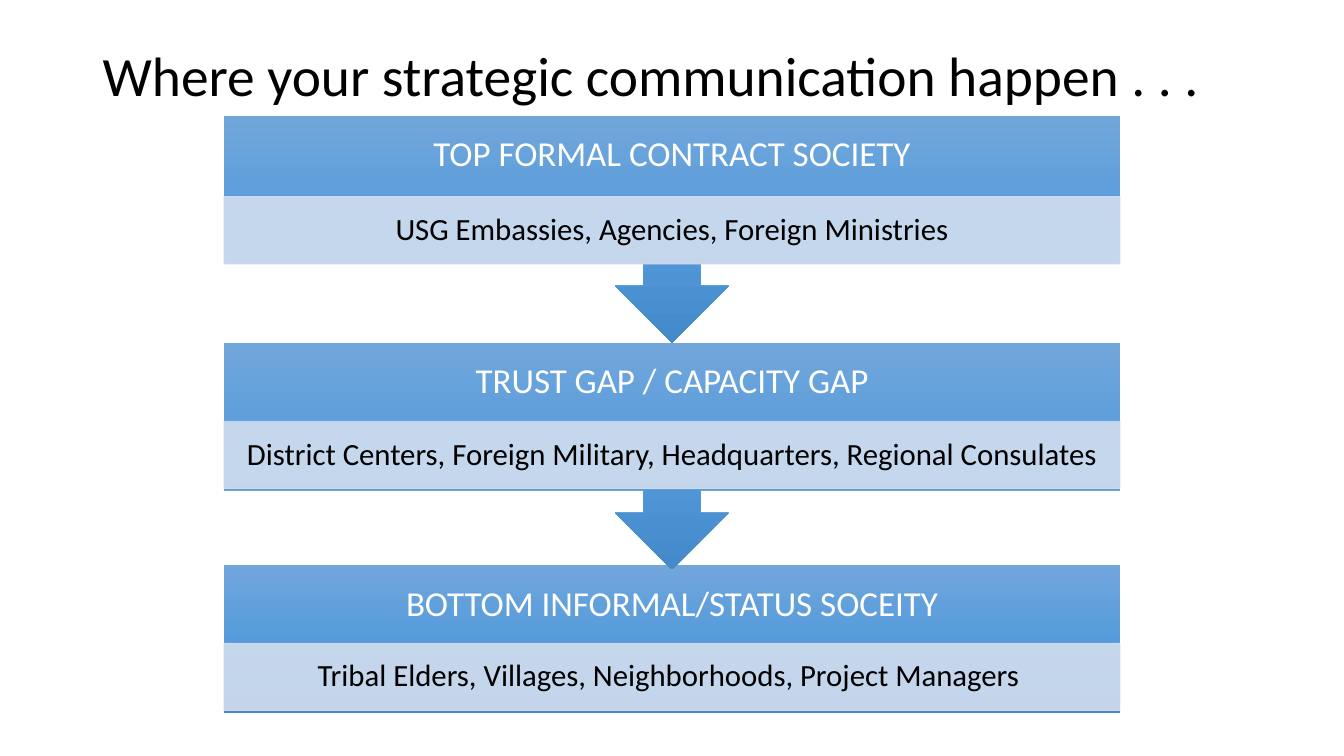
from copy import deepcopy
from pptx import Presentation
from pptx.dml.color import RGBColor
from pptx.enum.shapes import MSO_SHAPE
from pptx.enum.text import MSO_ANCHOR, PP_ALIGN
from pptx.oxml.ns import qn
from pptx.util import Inches, Pt

RECT = MSO_SHAPE.RECTANGLE
CALL = MSO_SHAPE.DOWN_ARROW_CALLOUT
MID = MSO_ANCHOR.MIDDLE
LEFT, MIDST = PP_ALIGN.LEFT, PP_ALIGN.CENTER

deck = Presentation()
deck.slide_width, deck.slide_height = Inches(13.333), Inches(7.5)
colw, roww = deck.slide_width / 100, deck.slide_height / 100
slide = deck.slides.add_slide(deck.slide_layouts[6])
shapes = slide.shapes


def hue(code):
    return RGBColor.from_string(code)


def label(area, words, size, code, align, side, edge, after):
    box = shapes.add_textbox(*area)
    frame = box.text_frame
    form = {
        "word_wrap": True, "vertical_anchor": MID,
        "margin_left": Inches(side), "margin_right": Inches(side),
        "margin_top": Inches(edge), "margin_bottom": Inches(edge),
    }
    for key, value in form.items():
        setattr(frame, key, value)
    para = frame.paragraphs[0]
    for key, value in {"alignment": align, "line_spacing": 0.9,
                       "space_after": Pt(after)}.items():
        setattr(para, key, value)
    run = para.add_run()
    run.text = words
    for key, value in {"size": Pt(size), "name": "Calibri"}.items():
        setattr(run.font, key, value)
    run.font.color.rgb = hue(code)


title = [int(n) for n in (6.9 * colw, 5.33 * roww, 86.25 * colw, 10 * roww)]
label(title, "Where your strategic communication happen . . . ",
      39.6, "000000", LEFT, 0.1, 0.05, 0)

left, wide = int(deck.slide_width / 6), int(deck.slide_width * 2 / 3)
head, band = int(10.53 * roww), int(8.93 * roww)
shades = [(0, "71A6DB"), (0.5, "559BDB"), (1, "448ACA")]
steps = [
    (RECT, 74.8, 19.5, 85.07, "BOTTOM INFORMAL/STATUS SOCEITY",
     "Tribal Elders, Villages, Neighborhoods, Project Managers "),
    (CALL, 45.33, 30, 55.73, "TRUST GAP / CAPACITY GAP",
     "District Centers, Foreign Military, Headquarters, Regional Consulates"),
    (CALL, 15.33, 30, 26, "TOP FORMAL CONTRACT SOCIETY",
     "USG Embassies, Agencies, Foreign Ministries"),
]

for kind, top, tall, low, name, who in steps:
    top, low = int(top * roww), int(low * roww)
    block = shapes.add_shape(kind, left, top, wide, int(tall * roww))
    block.shadow.inherit = False
    block.line.fill.background()
    block.fill.gradient()
    block.fill.gradient_angle = 270
    stops = block._element.spPr.find(".//" + qn("a:gsLst"))
    stops.insert(1, deepcopy(stops[0]))
    for stop, (place, code) in zip(block.fill.gradient_stops, shades):
        stop.position = place
        stop.color.rgb = hue(code)
    label((left, top, wide, head), name, 25, "FFFFFF", MIDST, 0.19, 0.19, 8.75)

    strip = shapes.add_shape(RECT, left, low, wide, band)
    strip.shadow.inherit = False
    strip.fill.solid()
    strip.fill.fore_color.rgb = hue("D2DEEF")
    strip.line.color.rgb = hue("D2DEEF")
    strip.line.width = Pt(0.5)
    for tint in strip._element.spPr.iter(qn("a:srgbClr")):
        alpha = tint.makeelement(qn("a:alpha"), {"val": "90000"})
        tint.append(alpha)
    label((left, low, wide, band), who, 22, "000000", MIDST, 0.17, 0.03, 7.7)

deck.save("out.pptx")
